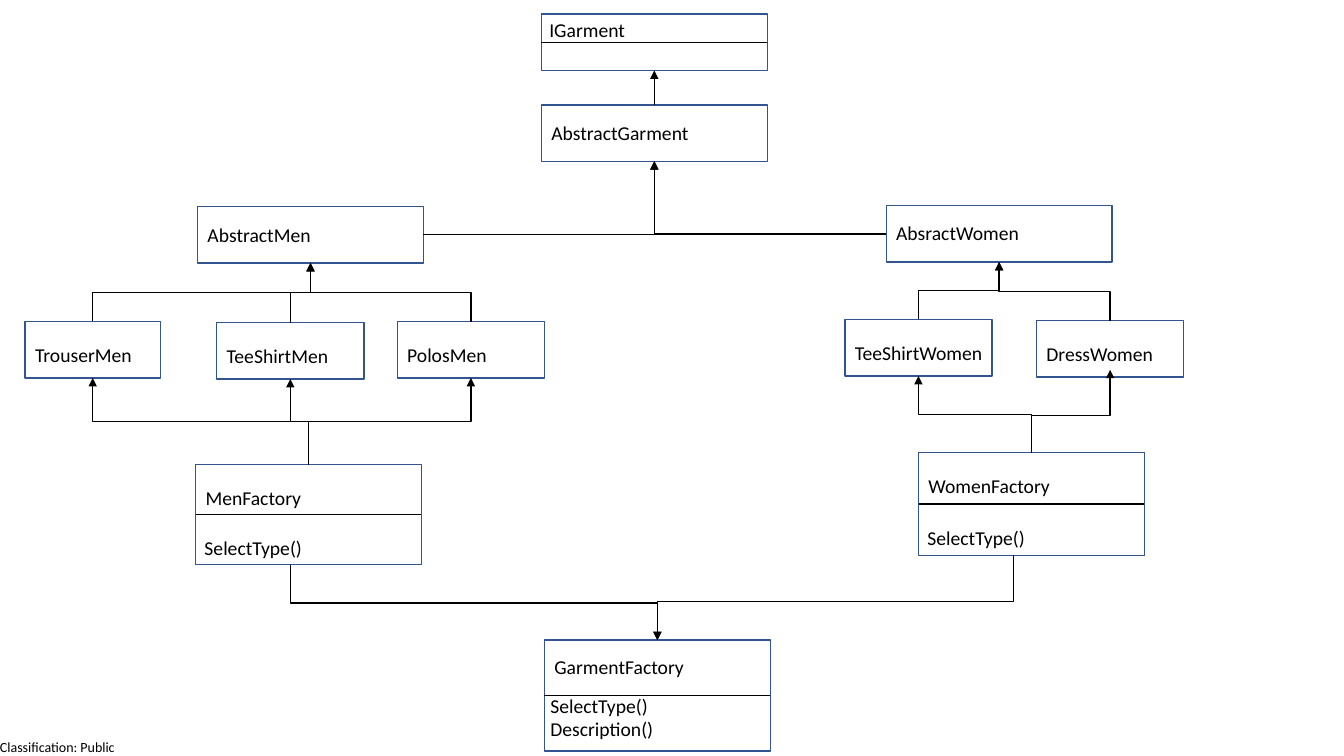
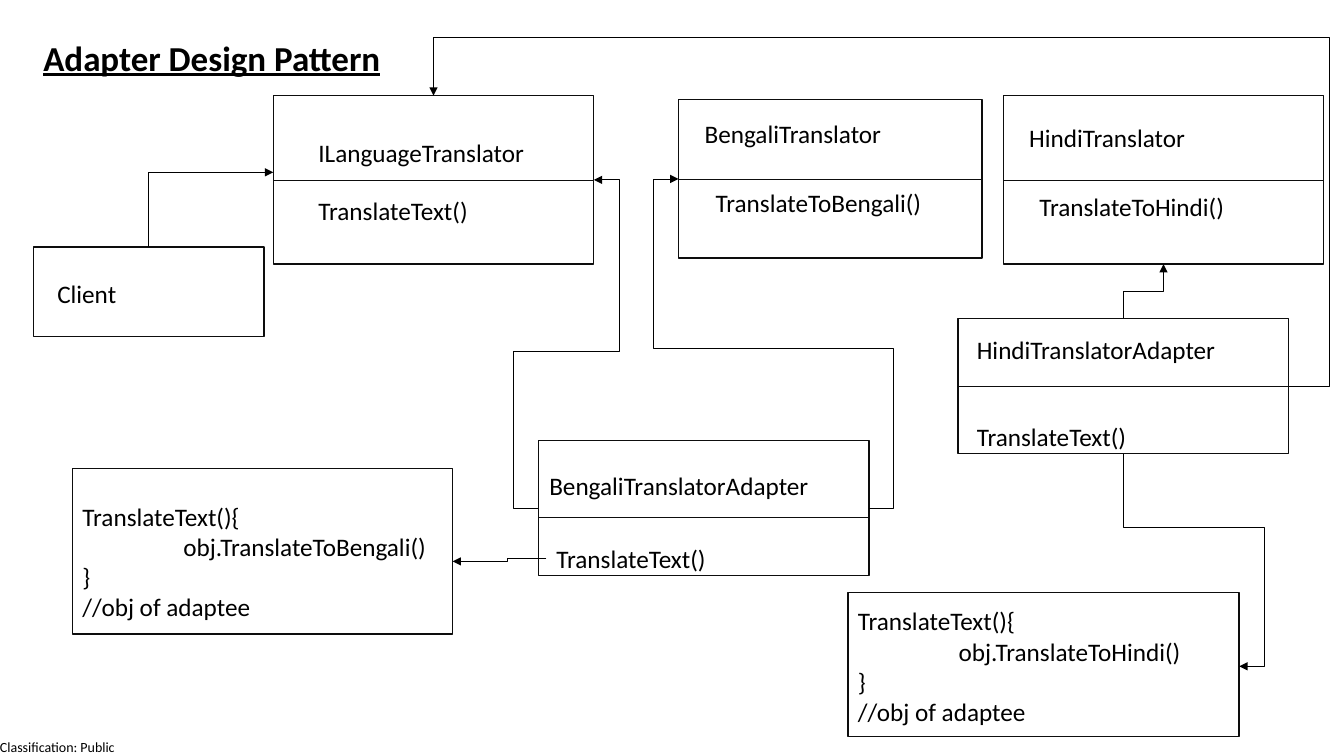
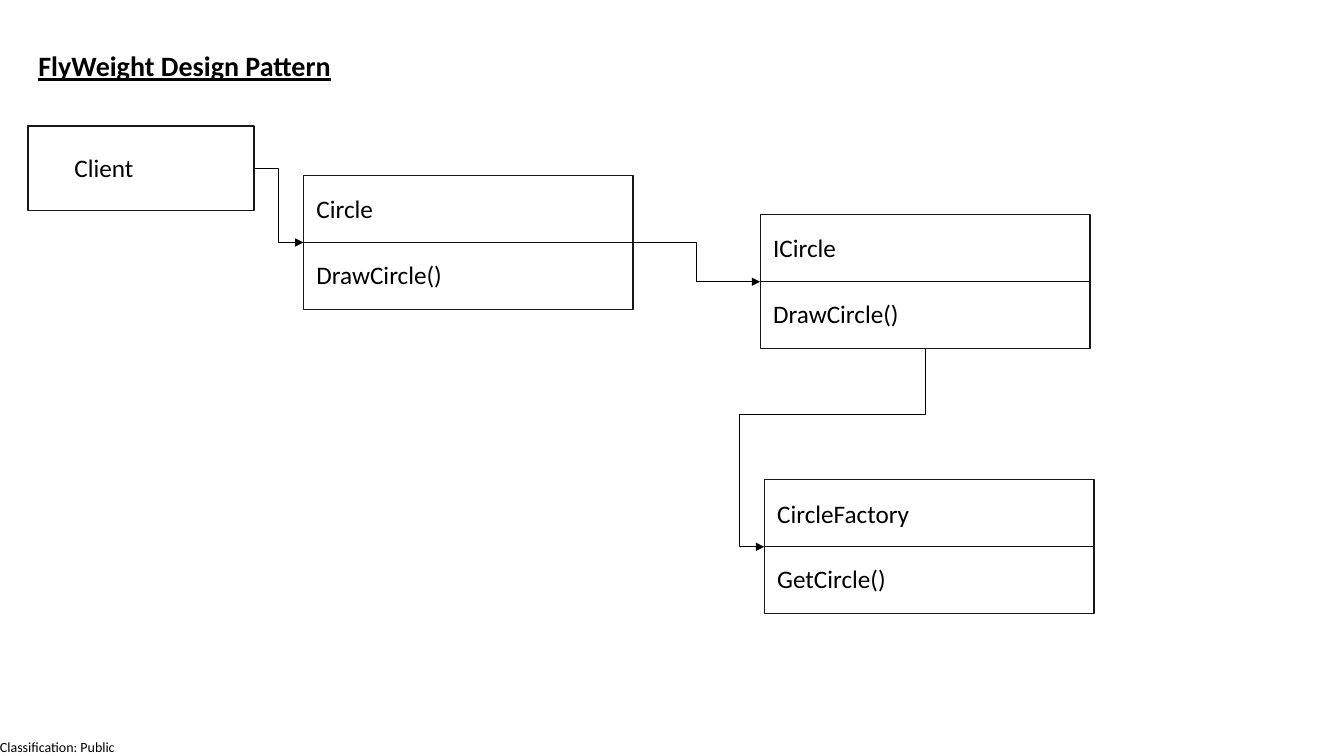
from dataclasses import dataclass
from typing import Any

from lxml import etree
from pptx import Presentation
from pptx.dml.color import RGBColor
from pptx.enum.shapes import MSO_CONNECTOR, MSO_SHAPE
from pptx.enum.text import MSO_ANCHOR, MSO_AUTO_SIZE, PP_ALIGN
from pptx.oxml.ns import qn
from pptx.util import Inches, Pt

STRAIGHT, ELBOW = MSO_CONNECTOR.STRAIGHT, MSO_CONNECTOR.ELBOW
RECTANGLE = MSO_SHAPE.RECTANGLE
TOP_ANCHOR, NO_AUTOFIT = MSO_ANCHOR.TOP, MSO_AUTO_SIZE.NONE
ALIGN_LEFT = PP_ALIGN.LEFT
TOP, LEFT, BOTTOM, RIGHT = range(4)

BLACK = RGBColor(0x00, 0x00, 0x00)
BLUE = RGBColor(0x32, 0x54, 0x91)
INK = RGBColor(0x0D, 0x0D, 0x0D)
CHARCOAL = RGBColor(0x18, 0x17, 0x17)
FONT = "Calibri"
TITLE_ONLY, BLANK = 5, 6


@dataclass
class DiagramStyle:
    border: RGBColor
    rule: RGBColor
    line_width: float
    text_size: float
    label_width: float


GARMENT_STYLE = DiagramStyle(BLUE, BLACK, 1, 14, 1.9)
ADAPTER_STYLE = DiagramStyle(INK, INK, 0.5, 18, 3.06)
FLYWEIGHT_STYLE = DiagramStyle(CHARCOAL, INK, 0.5, 18, 2.86)


@dataclass
class End:
    """A connector end: a point in EMU, joined to a shape's side if given."""
    x: int
    y: int
    shape: Any = None
    side: int = 0


def at_point(x, y):
    return End(Inches(x), Inches(y))


def at_side(shape, side):
    across = {TOP: 1, LEFT: 0, BOTTOM: 1, RIGHT: 2}[side]
    down = {TOP: 0, LEFT: 1, BOTTOM: 2, RIGHT: 1}[side]
    return End(shape.left + shape.width * across // 2,
               shape.top + shape.height * down // 2, shape, side)


# ---- Text ----

def set_font(paragraph, size):
    paragraph.font.name = FONT
    paragraph.font.size = Pt(size)
    paragraph.font.color.rgb = BLACK


def add_label(slide, left, top, width, height, lines, size):
    label = slide.shapes.add_textbox(Inches(left), Inches(top),
                                     Inches(width), Inches(height))
    frame = label.text_frame
    frame.word_wrap = True
    frame.text = "\n".join(lines)
    for paragraph in frame.paragraphs:
        set_font(paragraph, size)
    return label


def set_title(slide, left, top, width, height, text, size):
    title = slide.shapes.title
    title.left, title.top = Inches(left), Inches(top)
    title.width, title.height = Inches(width), Inches(height)
    frame = title.text_frame
    frame.text = text
    frame.word_wrap = True
    frame.auto_size = NO_AUTOFIT
    frame.vertical_anchor = TOP_ANCHOR
    paragraph = frame.paragraphs[0]
    paragraph.alignment = ALIGN_LEFT
    set_font(paragraph, size)
    paragraph.font.bold = True
    paragraph.font.underline = True


def add_classification(slide, master):
    """Puts the classification footer on the master, for every slide."""
    footer = add_label(slide, 0, 7.33, 1.17, 0.17,
                       ["Classification: Public"], 10)
    frame = footer.text_frame
    frame.margin_left = frame.margin_right = 0
    frame.margin_top = frame.margin_bottom = 0
    frame.word_wrap = False
    footer.element.nvSpPr.cNvPr.set("id", "99")
    master.shapes.element.append(footer.element)


# ---- Lines and arrows ----

def finish_line(connector, color, width, arrow):
    connector.line.color.rgb = color
    connector.line.width = Pt(width)
    properties = connector.element.spPr
    if arrow:
        etree.SubElement(properties.find(qn("a:ln")), qn("a:tailEnd"),
                         type="triangle")
    etree.SubElement(properties, qn("a:effectLst"))


def join(connector, start, end):
    if start.shape is not None:
        connector.begin_connect(start.shape, start.side)
    if end.shape is not None:
        connector.end_connect(end.shape, end.side)


def add_line(slide, start, end, color, width, arrow=False):
    line = slide.shapes.add_connector(STRAIGHT, start.x, start.y, end.x, end.y)
    join(line, start, end)
    finish_line(line, color, width, arrow)


def add_elbow(slide, style, start, end, turns=(), vertical=True):
    """Draws a bent arrow; turns are inches, alternating from the first axis."""
    elbow = slide.shapes.add_connector(ELBOW, start.x, start.y, end.x, end.y)
    join(elbow, start, end)

    run, rise = end.x - start.x, end.y - start.y
    width, height = abs(run), abs(rise)
    flip_h, flip_v = run < 0, rise < 0
    axes = [(start.x, run), (start.y, rise)]
    if vertical:
        # A quarter turn clockwise makes local right point down.
        width, height = height, width
        flip_h, flip_v = rise < 0, run > 0
        axes.reverse()
    elbow.left = (start.x + end.x - width) // 2
    elbow.top = (start.y + end.y - height) // 2
    elbow.width, elbow.height = width, height

    properties = elbow.element.spPr
    frame = properties.find(qn("a:xfrm"))
    frame.set("rot", str(5400000 if vertical else 0))
    frame.set("flipH", str(int(flip_h)))
    frame.set("flipV", str(int(flip_v)))

    geometry = properties.find(qn("a:prstGeom"))
    geometry.set("prst", f"bentConnector{len(turns) + 2}")
    for old in geometry.findall(qn("a:avLst")):
        geometry.remove(old)
    adjustments = etree.SubElement(geometry, qn("a:avLst"))
    for index, turn in enumerate(turns):
        origin, span = axes[index % 2]
        share = round((Inches(turn) - origin) / span * 100000)
        etree.SubElement(adjustments, qn("a:gd"), name=f"adj{index + 1}",
                         fmla=f"val {share}")
    finish_line(elbow, BLACK, style.line_width, True)


# ---- Boxes ----

def add_outline(slide, style, left, top, width, height):
    outline = slide.shapes.add_shape(RECTANGLE, Inches(left), Inches(top),
                                     Inches(width), Inches(height))
    outline.shadow.inherit = False
    outline.fill.background()
    outline.line.color.rgb = style.border
    outline.line.width = Pt(1)
    return outline


def add_class(slide, style, box, name, name_at, members=(), members_at=(0, 0),
              divided=False, divider=None):
    """Draws a class; label and divider offsets are from the box's corner."""
    left, top, width, height = box
    outline = add_outline(slide, style, *box)
    if divider is not None:
        add_line(slide, at_point(left, top + divider),
                 at_point(left + width, top + divider),
                 style.rule, style.line_width)
    elif members or divided:
        add_line(slide, at_side(outline, LEFT), at_side(outline, RIGHT),
                 style.rule, style.line_width)
    line_height = style.text_size / 60
    for lines, (dx, dy) in (([name], name_at), (members, members_at)):
        if lines:
            add_label(slide, left + dx, top + dy, style.label_width,
                      0.1 + line_height * len(lines), lines, style.text_size)
    return outline


def add_code_note(slide, style, box, text_drop, call):
    """Draws a code note and returns its text, which arrows point to."""
    left, top, width, height = box
    add_outline(slide, style, *box)
    code = add_label(slide, left, top + text_drop, width, 1.3,
                     ["TranslateText(){", call, "}", "//obj of adaptee"],
                     style.text_size)
    call_line = code.text_frame.paragraphs[1]
    call_line._p.get_or_add_pPr().set("marL", str(Inches(1)))
    return code


# ---- Slides ----

def build_garment_slide(slide):
    style = GARMENT_STYLE

    def garment_class(left, top, width, height, name, name_at, **parts):
        return add_class(slide, style, (left, top, width, height), name,
                         name_at, **parts)

    # Abstract types
    interface = garment_class(5.37, 0.14, 2.24, 0.56, "IGarment",
                              (-0.02, -0.01), divided=True)
    garment = garment_class(5.37, 1.04, 2.24, 0.56, "AbstractGarment",
                            (0, 0.11))
    men = garment_class(1.96, 2.05, 2.24, 0.56, "AbstractMen", (0, 0.11))
    women = garment_class(8.79, 2.04, 2.24, 0.56, "AbsractWomen", (0, 0.1))

    # Concrete garments
    trouser, men_tee, polos, women_tee, dress = [
        garment_class(left, top, width, 0.56, name, (0, 0.16))
        for left, top, width, name in (
            (0.25, 3.19, 1.34, "TrouserMen"),
            (2.15, 3.2, 1.46, "TeeShirtMen"),
            (3.94, 3.19, 1.46, "PolosMen"),
            (8.38, 3.17, 1.46, "TeeShirtWomen"),
            (10.28, 3.18, 1.46, "DressWomen"))]

    # Factories
    men_factory = garment_class(1.94, 4.61, 2.24, 0.99, "MenFactory",
                                (0, 0.16), members=["SelectType()"],
                                members_at=(-0.01, 0.66))
    women_factory = garment_class(9.11, 4.49, 2.24, 1.02, "WomenFactory",
                                  (0, 0.16), members=["SelectType()"],
                                  members_at=(-0.01, 0.68))
    factory = garment_class(5.4, 6.35, 2.24, 1.1, "GarmentFactory", (0, 0.1),
                            members=["SelectType()", "Description()"],
                            members_at=(-0.04, 0.48))

    # Inheritance
    add_line(slide, at_side(garment, TOP), at_side(interface, BOTTOM),
             BLACK, style.line_width, arrow=True)
    for child, side in ((men, RIGHT), (women, LEFT)):
        add_elbow(slide, style, at_side(child, side),
                  at_side(garment, BOTTOM), vertical=False)
    for child, parent, turn in ((trouser, men, 2.9), (polos, men, 2.9),
                                (men_tee, men, 2.9), (dress, women, 2.89),
                                (women_tee, women, 2.88)):
        add_elbow(slide, style, at_side(child, TOP), at_side(parent, BOTTOM),
                  [turn])

    # Creation
    for product in (trouser, men_tee, polos):
        add_elbow(slide, style, at_side(men_factory, TOP),
                  at_side(product, BOTTOM), [4.18])
    add_elbow(slide, style, at_side(women_factory, TOP),
              at_side(women_tee, BOTTOM), [4.11])
    add_elbow(slide, style, at_side(women_factory, TOP),
              at_point(11.01, 3.67), [4.12])
    for start, turn in ((at_point(2.88, 5.6), 5.98),
                        (at_point(10.05, 5.51), 5.97)):
        add_elbow(slide, style, start, at_side(factory, TOP), [turn])


def build_adapter_slide(slide):
    style = ADAPTER_STYLE
    set_title(slide, 0.33, 0.31, 4.6, 0.52, "Adapter Design Pattern", 25)

    # Client, target and adaptees
    client = add_class(slide, style, (0.33, 2.45, 2.29, 0.89), "Client",
                       (0.14, 0.26))
    target = add_class(slide, style, (2.71, 0.95, 3.18, 1.67),
                       "ILanguageTranslator", (0.35, 0.36),
                       ["TranslateText()"], (0.35, 0.94))
    bengali = add_class(slide, style, (6.73, 0.99, 3.01, 1.57),
                        "BengaliTranslator", (0.16, 0.13),
                        ["TranslateToBengali()"], (0.27, 0.82))
    hindi = add_class(slide, style, (9.95, 0.95, 3.18, 1.67),
                      "HindiTranslator", (0.16, 0.21),
                      ["TranslateToHindi()"], (0.26, 0.9))

    # Adapters
    bengali_adapter = add_class(slide, style, (5.34, 4.37, 3.28, 1.34),
                                "BengaliTranslatorAdapter", (0.01, 0.25),
                                ["TranslateText()"], (0.08, 0.97),
                                divider=0.76)
    hindi_adapter = add_class(slide, style, (9.5, 3.16, 3.28, 1.34),
                              "HindiTranslatorAdapter", (0.09, 0.11),
                              ["TranslateText()"], (0.09, 0.97))

    # Code notes
    bengali_code = add_code_note(slide, style, (0.72, 4.65, 3.77, 1.64), 0.27,
                                 "obj.TranslateToBengali()")
    hindi_code = add_code_note(slide, style, (8.41, 5.88, 3.88, 1.43), 0.08,
                               "obj.TranslateToHindi()")

    # Arrows
    add_elbow(slide, style, at_side(client, TOP), at_point(2.71, 1.71))
    add_elbow(slide, style, at_side(bengali_adapter, RIGHT),
              at_side(bengali, LEFT), [8.86, 3.46, 6.48], vertical=False)
    add_elbow(slide, style, at_side(bengali_adapter, LEFT),
              at_side(target, RIGHT), [5.09, 3.49, 6.14], vertical=False)
    add_elbow(slide, style, at_point(5.42, 5.54),
              at_side(bengali_code, RIGHT), [5.03], vertical=False)
    add_elbow(slide, style, at_side(hindi_adapter, BOTTOM),
              at_side(hindi_code, RIGHT), [5.23, 12.54])
    add_elbow(slide, style, at_side(hindi_adapter, RIGHT),
              at_side(target, TOP), [13.19, 0.37], vertical=False)
    add_elbow(slide, style, at_side(hindi_adapter, TOP),
              at_side(hindi, BOTTOM), [2.89])


def build_flyweight_slide(slide):
    style = FLYWEIGHT_STYLE
    set_title(slide, 0.28, 0.43, 6.71, 0.44, "FlyWeight Design Pattern", 20)

    # Classes
    client = add_class(slide, style, (0.28, 1.25, 2.24, 0.84), "Client",
                       (0.36, 0.21))
    circle, interface, factory = [
        add_class(slide, style, (left, top, 3.27, 1.33), name, (0.03, 0.13),
                  [method], (0.03, 0.78))
        for left, top, name, method in (
            (3.01, 1.74, "Circle", "DrawCircle()"),
            (7.54, 2.13, "ICircle", "DrawCircle()"),
            (7.58, 4.76, "CircleFactory", "GetCircle()"))]

    # Arrows
    for start, end, turn in ((client, circle, 2.76),
                             (circle, interface, 6.91)):
        add_elbow(slide, style, at_side(start, RIGHT), at_side(end, LEFT),
                  [turn], vertical=False)
    add_elbow(slide, style, at_side(interface, BOTTOM),
              at_side(factory, LEFT), [4.11, 7.33])


def main():
    deck = Presentation()
    deck.slide_width, deck.slide_height = Inches(13.33), Inches(7.5)
    pages = ((BLANK, build_garment_slide), (TITLE_ONLY, build_adapter_slide),
             (TITLE_ONLY, build_flyweight_slide))
    for layout, build in pages:
        build(deck.slides.add_slide(deck.slide_layouts[layout]))
    add_classification(deck.slides[0], deck.slide_master)
    deck.save("out.pptx")


if __name__ == "__main__":
    main()
